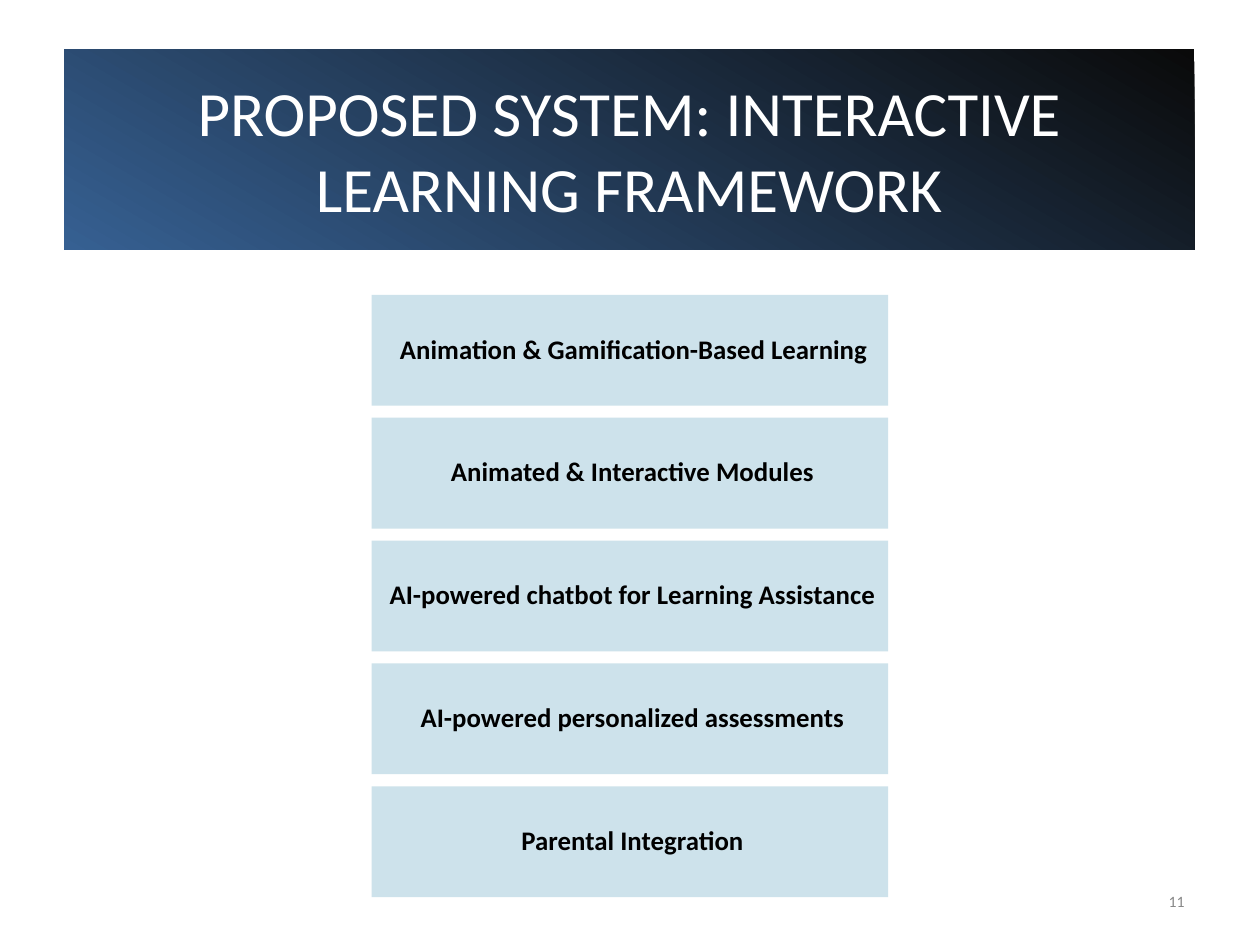
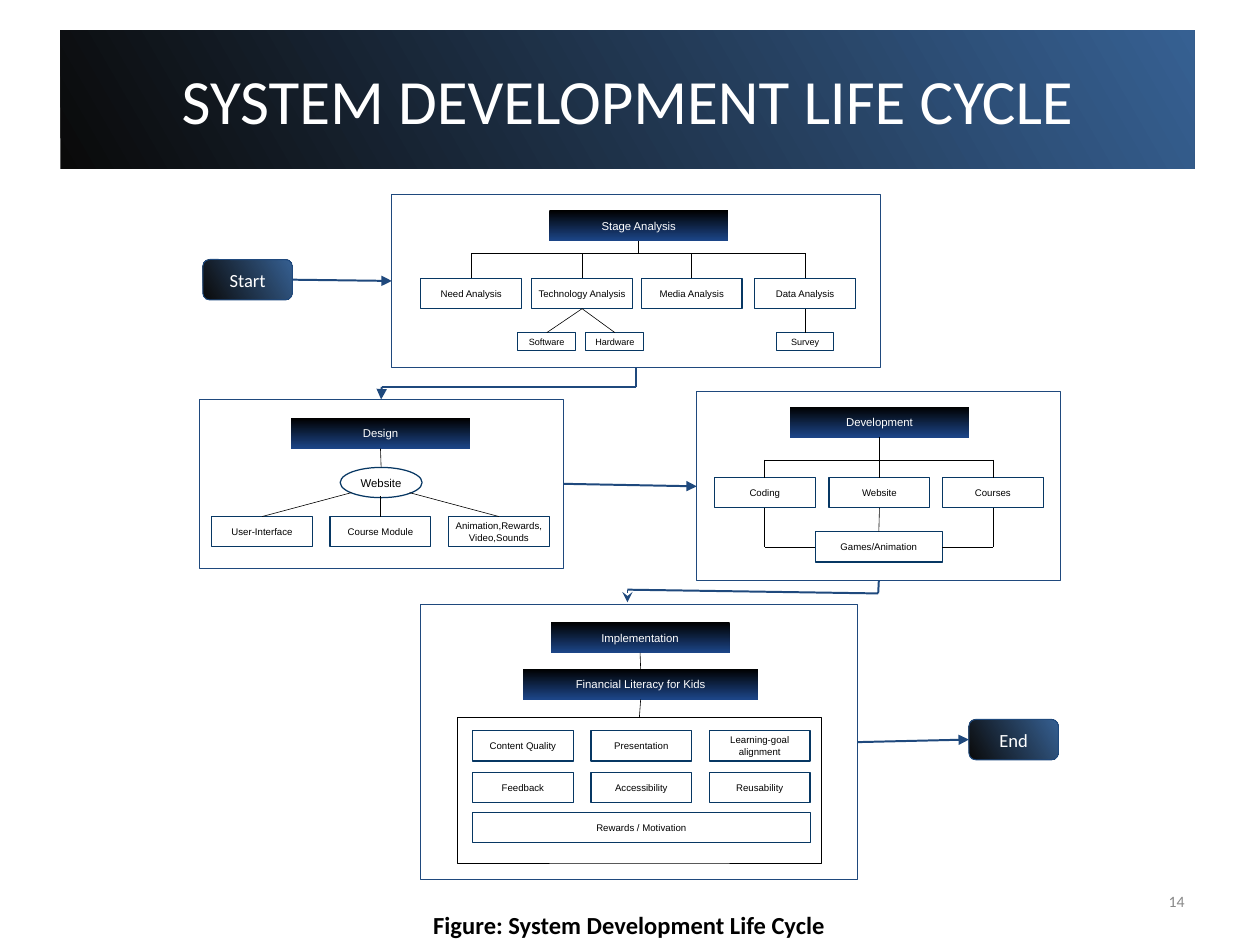
from dataclasses import dataclass
from typing import Any

from lxml.etree import SubElement
from pptx import Presentation
from pptx.dml.color import RGBColor
from pptx.enum.shapes import MSO_CONNECTOR as Wire, MSO_SHAPE as Form
from pptx.enum.text import MSO_ANCHOR as Anchor, MSO_AUTO_SIZE as Fit, PP_ALIGN as Align
from pptx.oxml.ns import qn
from pptx.shapes.autoshape import Shape
from pptx.util import Inches, Pt

BLACK, WHITE, GREY = "000000", "FFFFFF", "888888"
NAVY, EDGE, ROYAL = "1F497D", "073763", "1C4587"
TILE = "CDE2EB"
BAND = ("0A0A0A", "366092")
HEAD = (BLACK, ROYAL)


def rgb(code):
    """Turn a hex string into a colour."""
    return RGBColor.from_string(code)


def shade(shape, pair, angle):
    """Fill a shape with a two-colour gradient."""
    shape.fill.gradient()
    shape.fill.gradient_angle = angle
    for stop, code in zip(shape.fill.gradient_stops, pair):
        stop.color.rgb = rgb(code)


def write(shape, text, size, color=BLACK, font="Arial", bold=False,
          align=Align.CENTER, pad=(0.04, 0.04, 0.04, 0.04), space=None):
    """Set and format the text of a shape."""
    frame = shape.text_frame
    frame.text = text
    frame.word_wrap = True
    frame.auto_size = Fit.NONE
    frame.vertical_anchor = Anchor.MIDDLE
    frame.margin_left, frame.margin_top, frame.margin_right, frame.margin_bottom = map(Inches, pad)
    for para in frame.paragraphs:
        para.alignment = align
        para.line_spacing = space
        for run in para.runs:
            run.font.size, run.font.name, run.font.bold = Pt(size), font, bold
            run.font.color.rgb = rgb(color)


@dataclass
class Pane:
    """A region of a slide whose parts are placed from its top left corner."""
    slide: Any
    x: float = 0
    y: float = 0

    def spot(self, x, y):
        """Give a point of the region as slide lengths."""
        return Inches(self.x + x), Inches(self.y + y)

    def shape(self, x, y, w, h, form=Form.RECTANGLE, line=None, width=0.7):
        """Add an unfilled shape, outlined if a line colour is given."""
        shape = self.slide.shapes.add_shape(form, *self.spot(x, y), Inches(w), Inches(h))
        shape.shadow.inherit = False
        shape.fill.background()
        if line:
            shape.line.color.rgb = rgb(line)
            shape.line.width = Pt(width)
        else:
            shape.line.fill.background()
        return shape

    def label(self, text, x, y, w, h, size, **look):
        """Add a text box."""
        box = self.slide.shapes.add_textbox(*self.spot(x, y), Inches(w), Inches(h))
        write(box, text, size, font="Calibri", **look)

    def node(self, text, x, y, w=0.8):
        """Add an outlined box."""
        box = self.shape(x, y, w, 0.24, line=EDGE)
        write(box, text, 5.5)
        return box

    def leaf(self, text, x, y):
        """Add a small outlined box."""
        box = self.shape(x, y, 0.46, 0.14, line=EDGE, width=0.56)
        write(box, text, 5.2)
        return box

    def head(self, text, x, y, w=1.42):
        """Add a dark heading bar."""
        bar = self.shape(x, y, w, 0.24)
        shade(bar, HEAD, 270)
        write(bar, text, 6.5, WHITE)
        return bar

    def pill(self, text, x, y):
        """Add a rounded start or end mark."""
        mark = self.shape(x, y, 0.71, 0.32, Form.ROUNDED_RECTANGLE, NAVY, 0.56)
        shade(mark, BAND, 30)
        write(mark, text, 10.6, WHITE, "Calibri")
        return mark

    def link(self, a, b, color=BLACK, width=0.35, tip=None):
        """Draw a line between points or (shape, side) joints."""
        start, stop = [(0, 0) if isinstance(p[0], Shape) else self.spot(*p) for p in (a, b)]
        wire = self.slide.shapes.add_connector(Wire.STRAIGHT, *start, *stop)
        if isinstance(a[0], Shape):
            wire.begin_connect(*a)
        if isinstance(b[0], Shape):
            wire.end_connect(*b)
        wire.line.color.rgb = rgb(color)
        wire.line.width = Pt(width)
        if tip:
            SubElement(wire.line._get_or_add_ln(), qn("a:tailEnd"), type=tip)
        SubElement(wire._element.spPr, qn("a:effectLst"))

    def flow(self, *stops, tip="triangle", width=1.13):
        """Draw a thick route through its stops, with an arrow on the last leg."""
        last = len(stops) - 2
        for i, (a, b) in enumerate(zip(stops, stops[1:])):
            end = i == last
            self.link(a, b, NAVY, width if end else 1.13, tip if end else None)

    def mid(self, shape):
        """Give the centre of a shape across the region."""
        return (shape.left + shape.width / 2) / Inches(1) - self.x

    def tree(self, top, kids, y):
        """Join a heading to its children by a bar at height y."""
        self.link((top, 2), (self.mid(top), y))
        self.link((self.mid(kids[0]), y), (self.mid(kids[-1]), y))
        for kid in kids:
            self.link((self.mid(kid), y), (kid, 0))


def start(deck, title, box, angle, number):
    """Add a slide with its title band and page number."""
    slide = deck.slides.add_slide(deck.slide_layouts[5])
    band = slide.shapes.title
    band.left, band.top, band.width, band.height = map(Inches, box)
    shade(band, BAND, angle)
    pad = (0.1, 0.05, 0.1, 0.05)
    write(band, title, 36, WHITE, "Calibri", pad=pad)
    pane = Pane(slide)
    pane.label(number, 7.17, 6.95, 2.33, 0.4, 9, color=GREY, align=Align.RIGHT, pad=pad)
    return pane


def tiles(pane, texts):
    """Stack the feature tiles."""
    for i, text in enumerate(texts):
        tile = pane.shape(0, 0.975 * i, 4.1, 0.88)
        tile.fill.solid()
        tile.fill.fore_color.rgb = rgb(TILE)
        write(tile, text, 15.3, font="Calibri", bold=True, space=0.9,
              pad=(0.06 if i else 0.08, 0.04, 0.02, 0.04))


def study(pane):
    """Draw the analysis stage."""
    frame = pane.shape(0, 0, 3.88, 1.38, line=NAVY, width=0.56)
    top = pane.head("Stage Analysis", 1.25, 0.13)
    spots = {"Need": 0.23, "Technology": 1.11, "Media": 1.98, "Data": 2.88}
    kids = [pane.node(f"{name} Analysis", x, 0.67) for name, x in spots.items()]
    pane.tree(top, kids, 0.47)
    for text, x, kid in (("Software", 1, 1), ("Hardware", 1.54, 1), ("Survey", 3.05, 3)):
        pane.link((kids[kid], 2), (pane.leaf(text, x, 1.1), 0))
    return frame


def design(pane):
    """Draw the design stage."""
    frame = pane.shape(0, 0, 2.89, 1.34, line=NAVY, width=0.56)
    top = pane.head("Design", 0.73, 0.15)
    site = pane.shape(1.12, 0.54, 0.65, 0.24, Form.OVAL, EDGE)
    write(site, "Website", 6.5)
    pane.link((top, 2), (site, 0))
    texts = ("User-Interface", "Course Module", "Animation,Rewards, Video,Sounds")
    for i, text in enumerate(texts):
        kid = pane.node(text, 0.1 + 0.94 * i, 0.93)
        pane.link((1.21 + 0.23 * i, 0.77 if i == 1 else 0.74), (kid, 0))
    return frame


def build(pane):
    """Draw the development stage."""
    frame = pane.shape(0, 0, 2.89, 1.5, line=NAVY, width=0.56)
    top = pane.head("Development", 0.74, 0.12)
    spots = {"Coding": 0.14, "Website": 1.05, "Courses": 1.95}
    kids = [pane.node(text, x, 0.68) for text, x in spots.items()]
    pane.tree(top, kids, 0.54)
    game = pane.node("Games/Animation", 0.94, 1.11, 1.01)
    pane.link((kids[1], 2), (game, 0))
    for kid, side in ((kids[0], 1), (kids[2], 3)):
        turn = (pane.mid(kid), 1.23)
        pane.link((kid, 2), turn)
        pane.link(turn, (game, side))
    return frame


def launch(pane):
    """Draw the implementation stage."""
    frame = pane.shape(0, 0, 3.47, 2.18, line=NAVY, width=0.56)
    top = pane.head("Implementation", 1.03, 0.14)
    goal = pane.head("Financial Literacy for Kids", 0.81, 0.51, 1.87)
    group = pane.shape(0.29, 0.89, 2.89, 1.16, line=BLACK, width=0.35)
    pane.link((top, 2), (goal, 0))
    pane.link((goal, 2), (group, 0))
    texts = ("Content Quality", "Presentation", "Learning-goal\nalignment",
             "Feedback", "Accessibility", "Reusability")
    for i, text in enumerate(texts):
        row, col = divmod(i, 3)
        pane.node(text, 0.41 + 0.94 * col, 1 + 0.33 * row)
    pane.node("Rewards / Motivation", 0.41, 1.65, 2.68)
    return frame


def cycle(page):
    """Draw the stages and the routes between them."""
    first, second, third, fourth = [
        draw(Pane(page.slide, x, y)) for draw, x, y in (
            (study, 3.11, 1.54), (design, 1.58, 3.17),
            (build, 5.53, 3.11), (launch, 3.34, 4.8))]
    page.flow((page.pill("Start", 1.61, 2.06), 3), (first, 1))
    page.flow((first, 2), (5.05, 3.07), (3.03, 3.07), (second, 0))
    page.flow((second, 3), (third, 1))
    page.flow((third, 2), (6.97, 4.71), (4.98, 4.68), (4.98, 4.78), tip="stealth", width=0.56)
    page.flow((fourth, 3), (page.pill("End", 7.69, 5.71), 1))
    page.label("Figure: System Development Life Cycle", 3.34, 7.16, 3.47, 0.36, 14,
               bold=True, align=Align.LEFT, pad=(0.1, 0.1, 0.1, 0.1))


def main():
    """Build the deck."""
    deck = Presentation()
    deck.slide_width, deck.slide_height = Inches(10), Inches(7.5)
    page = start(deck, "PROPOSED SYSTEM: INTERACTIVE LEARNING FRAMEWORK",
                 (0.51, 0.39, 8.97, 1.59), 240, "11")
    tiles(Pane(page.slide, 2.95, 2.34), (
        "Animation & Gamification-Based Learning",
        "Animated & Interactive Modules",
        "AI-powered chatbot for Learning Assistance",
        "AI-powered personalized assessments",
        "Parental Integration"))
    cycle(start(deck, "SYSTEM DEVELOPMENT LIFE CYCLE", (0.48, 0.24, 9, 1.1), 30, "14"))
    deck.save("out.pptx")


if __name__ == "__main__":
    main()
